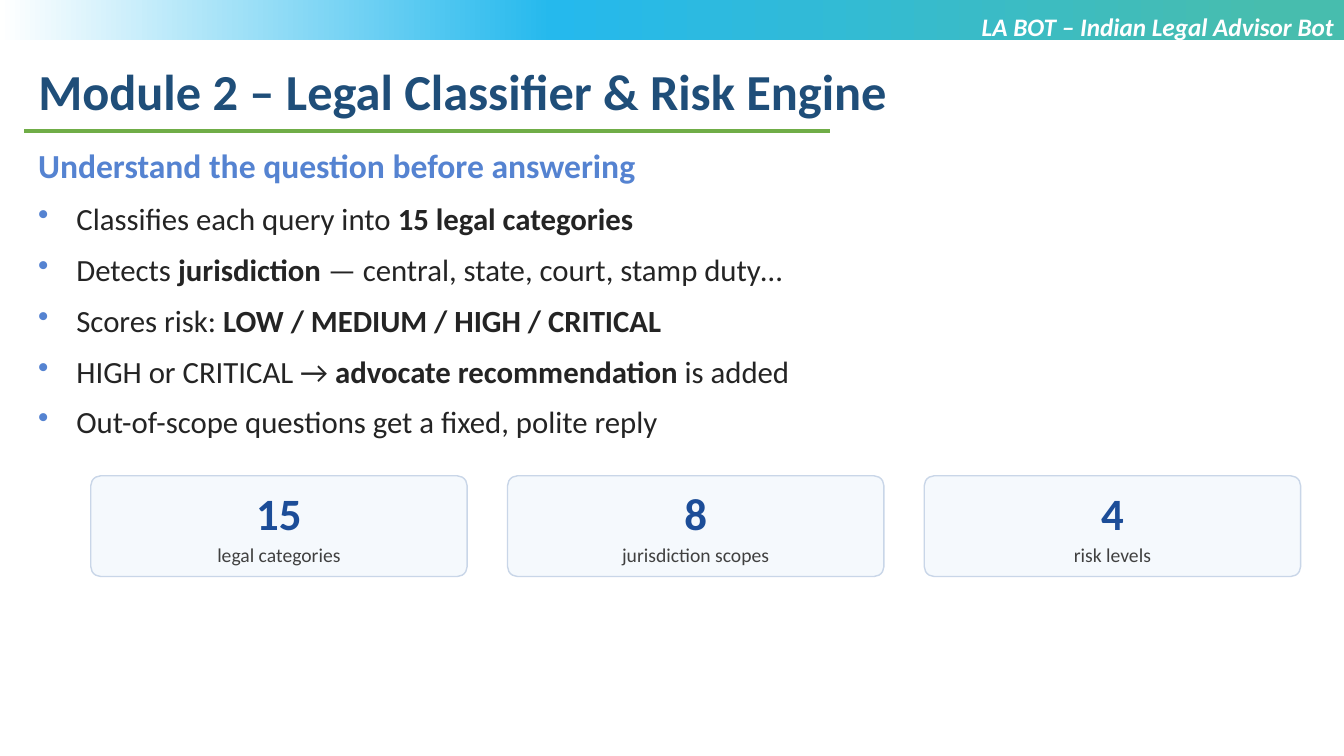
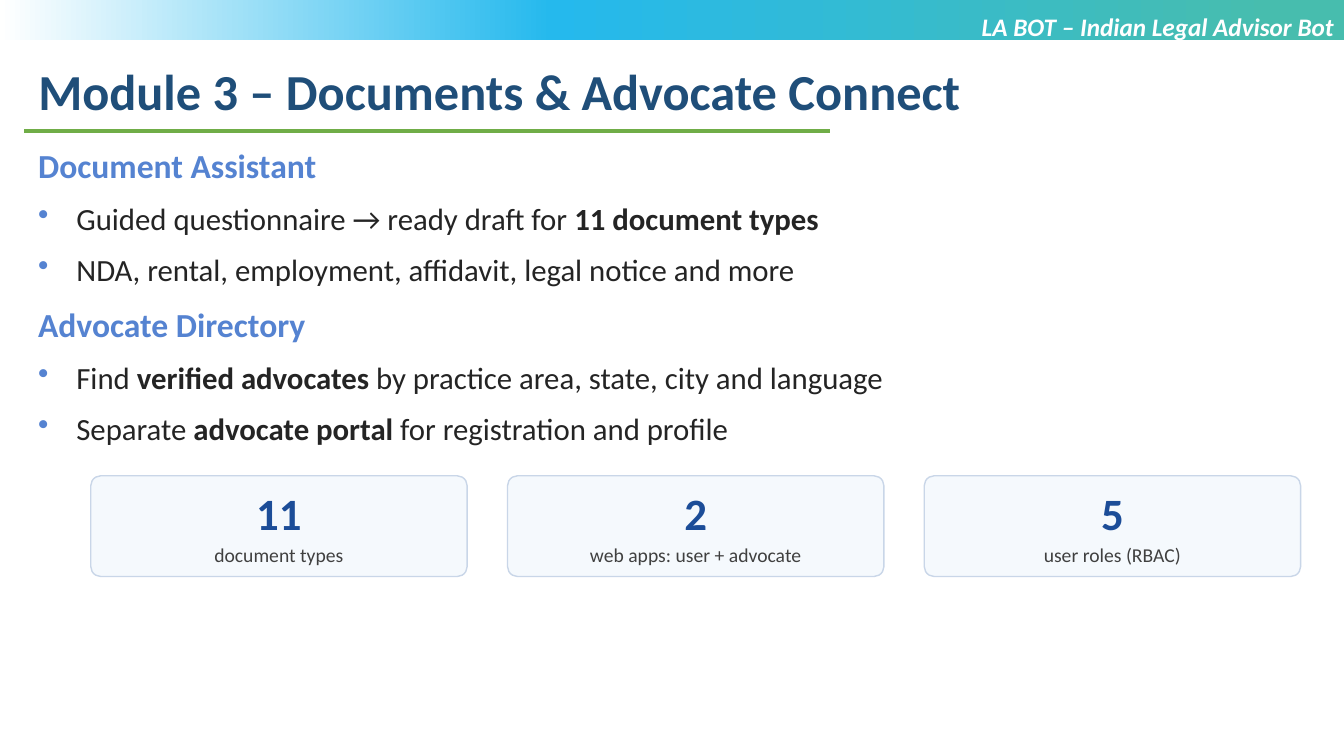
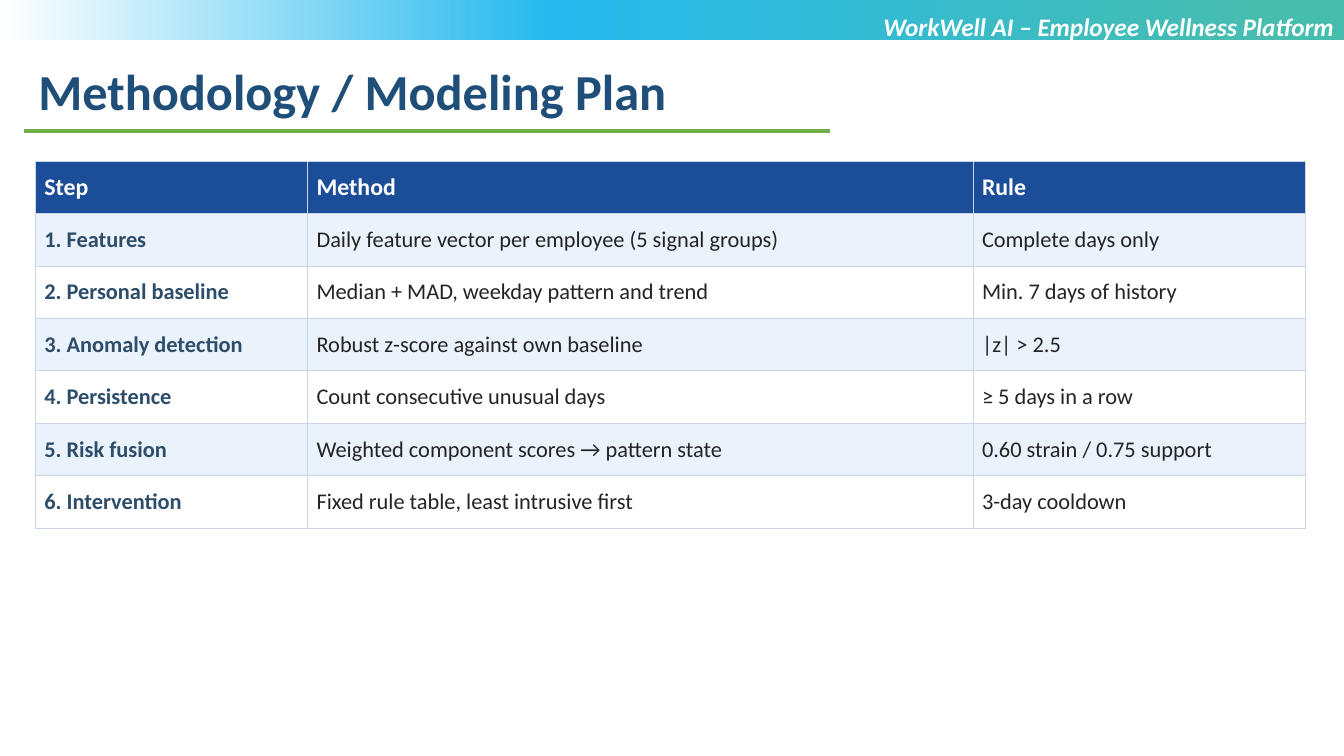
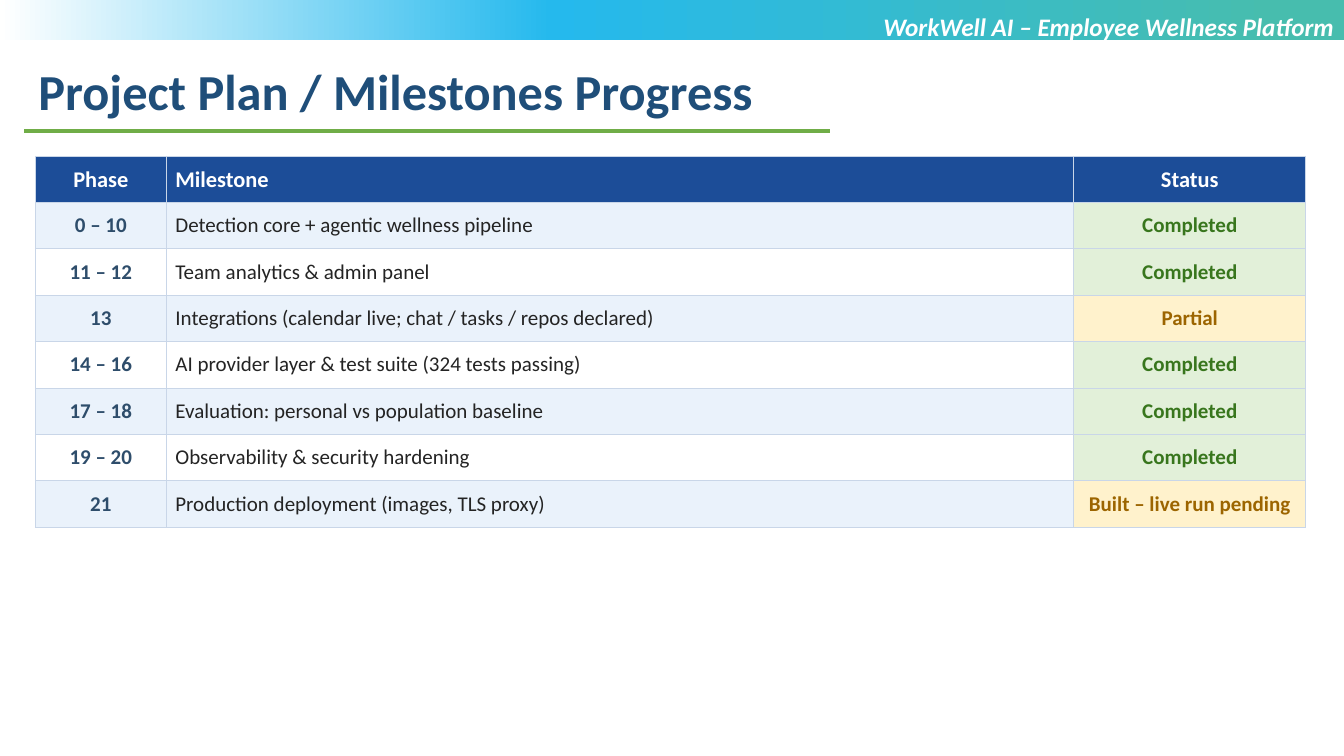
from lxml import etree
from pptx import Presentation
from pptx.dml.color import RGBColor
from pptx.enum.shapes import MSO_CONNECTOR, MSO_SHAPE
from pptx.enum.text import MSO_ANCHOR, PP_ALIGN
from pptx.oxml.ns import qn
from pptx.util import Emu, Pt

LEFT, MID, RIGHT = PP_ALIGN.LEFT, PP_ALIGN.CENTER, PP_ALIGN.RIGHT
TOP, CENTER = MSO_ANCHOR.TOP, MSO_ANCHOR.MIDDLE
RECT, ROUND = MSO_SHAPE.RECTANGLE, MSO_SHAPE.ROUNDED_RECTANGLE
STRAIGHT = MSO_CONNECTOR.STRAIGHT

# Shared style: 100 px to the inch
SCALE = 9144
WIDE, HIGH = 1333, 750
FONT = "Calibri"
WHITE, INK, GRAY = "FFFFFF", "242424", "404040"
TITLE, HEAD, NAVY, SLATE = "1F4E79", "5583D1", "1C4D98", "2E4D6B"
RULE, EDGE, PALE, STRIPE = "70AD47", "C9D6E8", "F5F9FD", "EAF2FB"
BAND = [(5, "47BDAE"), (59, "25B9ED"), (100, WHITE)]
DONE, OPEN = ("E2F0D9", "38761D"), ("FFF2CC", "9C6500")

# Content
LEGAL = "LA BOT – Indian Legal Advisor Bot"
WELL = "WorkWell AI – Employee Wellness Platform"

POINTS = [
    {
        "title": "Module 2 – Legal Classifier & Risk Engine",
        "parts": [
            ("Understand the question before answering", [
                "Classifies each query into **15 legal categories**",
                "Detects **jurisdiction** — central, state, court, stamp duty…",
                "Scores risk: **LOW / MEDIUM / HIGH / CRITICAL**",
                "HIGH or CRITICAL → **advocate recommendation** is added",
                "Out-of-scope questions get a fixed, polite reply",
            ]),
        ],
        "cards": [("15", "legal categories"), ("8", "jurisdiction scopes"),
                  ("4", "risk levels")],
    },
    {
        "title": "Module 3 – Documents & Advocate Connect",
        "parts": [
            ("Document Assistant", [
                "Guided questionnaire → ready draft for **11 document types**",
                "NDA, rental, employment, affidavit, legal notice and more",
            ]),
            ("Advocate Directory", [
                "Find **verified advocates** by practice area, state, city and language",
                "Separate **advocate portal** for registration and profile",
            ]),
        ],
        "cards": [("11", "document types"), ("2", "web apps: user + advocate"),
                  ("5", "user roles (RBAC)")],
    },
]

TABLES = [
    {
        "title": "Methodology / Modeling Plan",
        "top": 160, "row": 52, "cols": [270, 660, 330], "size": 16,
        "align": [LEFT, LEFT, LEFT], "status": False,
        "rows": [
            ("Step", "Method", "Rule"),
            ("1. Features", "Daily feature vector per employee (5 signal groups)",
             "Complete days only"),
            ("2. Personal baseline", "Median + MAD, weekday pattern and trend",
             "Min. 7 days of history"),
            ("3. Anomaly detection", "Robust z-score against own baseline",
             "|z| > 2.5"),
            ("4. Persistence", "Count consecutive unusual days",
             "≥ 5 days in a row"),
            ("5. Risk fusion", "Weighted component scores → pattern state",
             "0.60 strain / 0.75 support"),
            ("6. Intervention", "Fixed rule table, least intrusive first",
             "3-day cooldown"),
        ],
    },
    {
        "title": "Project Plan / Milestones Progress",
        "top": 155, "row": 46, "cols": [130, 900, 230], "size": 15,
        "align": [MID, LEFT, MID], "status": True,
        "rows": [
            ("Phase", "Milestone", "Status"),
            ("0 – 10", "Detection core + agentic wellness pipeline", "Completed"),
            ("11 – 12", "Team analytics & admin panel", "Completed"),
            ("13", "Integrations (calendar live; chat / tasks / repos declared)",
             "Partial"),
            ("14 – 16", "AI provider layer & test suite (324 tests passing)",
             "Completed"),
            ("17 – 18", "Evaluation: personal vs population baseline", "Completed"),
            ("19 – 20", "Observability & security hardening", "Completed"),
            ("21", "Production deployment (images, TLS proxy)",
             "Built – live run pending"),
        ],
    },
]


def px(*nums):
    vals = [Emu(round(n * SCALE)) for n in nums]
    return vals if len(vals) > 1 else vals[0]


def rgb(code):
    return RGBColor.from_string(code)


def style(font, size, color, bold=False, slant=False):
    font.name, font.size = FONT, Pt(size)
    font.bold, font.italic = bold, slant
    font.color.rgb = rgb(color)


def node(up, tag, **attrs):
    return etree.SubElement(up, qn(tag), attrs)


def write(para, text, size, color, bold=False, slant=False, align=LEFT):
    """Fill a paragraph; text between ** marks is bold."""
    para.alignment = align
    for i, part in enumerate(text.split("**")):
        if part:
            run = para.add_run()
            run.text = part
            style(run.font, size, color, bold or i % 2 == 1, slant)


def textbox(slide, *box):
    frame = slide.shapes.add_textbox(*px(*box)).text_frame
    frame.word_wrap = True
    return frame


def shape(slide, kind, *box):
    item = slide.shapes.add_shape(kind, *px(*box))
    item.shadow.inherit = False
    return item


def start(prs, title, strap):
    """New slide with band, strap line, title and rule."""
    slide = prs.slides.add_slide(prs.slide_layouts[5])

    band = shape(slide, RECT, 0, 0, WIDE, 40)
    band.line.fill.background()
    band.fill.gradient()
    band.fill.gradient_angle = 180
    stops = band.element.find(".//" + qn("a:gsLst"))
    stops.clear()
    for pos, color in BAND:
        node(node(stops, "a:gs", pos=str(pos * 1000)), "a:srgbClr", val=color)

    head = slide.shapes.title
    head.left, head.top, head.width, head.height = px(28, 55, 1162, 71)
    head.text_frame.vertical_anchor = TOP
    write(head.text_frame.paragraphs[0], title, 36, TITLE, True)

    rule = slide.shapes.add_connector(STRAIGHT, *px(24, 130, 823, 130))
    rule.line.color.rgb, rule.line.width = rgb(RULE), Pt(2.25)
    node(rule.element.spPr, "a:effectLst")

    frame = textbox(slide, 666, 6, 667, 71)
    write(frame.paragraphs[0], strap, 18, WHITE, True, True, RIGHT)
    return slide


def bullet(para):
    props = para._p.get_or_add_pPr()
    props.set("marL", str(px(38)))
    props.set("indent", str(-px(38)))
    node(node(props, "a:buClr"), "a:srgbClr", val=HEAD)
    node(props, "a:buChar", char="•")


def body(slide, parts):
    frame = textbox(slide, 28, 139, 1160, 430)
    para = frame.paragraphs[0]
    for i, (head, items) in enumerate(parts):
        if i:
            para = frame.add_paragraph()
            para.space_before = Pt(12)
        write(para, head, 24, HEAD, True)
        for item in items:
            para = frame.add_paragraph()
            bullet(para)
            para.space_before = Pt(10)
            write(para, item, 22, INK)


def cards(slide, items):
    left, right, gap = 90, 1290, 40
    width = (right - left - gap * (len(items) - 1)) / len(items)
    for i, (count, label) in enumerate(items):
        card = shape(slide, ROUND, left + i * (width + gap), 472, width, 100)
        card.adjustments[0] = 0.1
        card.fill.solid()
        card.fill.fore_color.rgb = rgb(PALE)
        card.line.color.rgb, card.line.width = rgb(EDGE), Pt(1)
        frame = card.text_frame
        frame.word_wrap, frame.vertical_anchor = True, CENTER
        frame.margin_left = frame.margin_right = px(6)
        frame.margin_top = frame.margin_bottom = px(6)
        write(frame.paragraphs[0], count, 32, NAVY, True, align=MID)
        para = frame.add_paragraph()
        para.space_before = Pt(2)
        write(para, label, 14, GRAY, align=MID)


def border(cell):
    props = cell._tc.get_or_add_tcPr()
    for i, side in enumerate(("a:lnL", "a:lnR", "a:lnT", "a:lnB")):
        line = node(props, side, w=str(Pt(0.75)))
        node(node(line, "a:solidFill"), "a:srgbClr", val=EDGE)
        props.insert(i, line)


def look(r, c, text, status):
    """Fill, text colour and weight of a cell."""
    if r == 0:
        return NAVY, WHITE, True
    if status and c == 2:
        return *(DONE if text == "Completed" else OPEN), True
    fill = STRIPE if r % 2 else WHITE
    return (fill, SLATE, True) if c == 0 else (fill, INK, False)


def grid(slide, data):
    rows, cols = data["rows"], data["cols"]
    box = px(35, data["top"], sum(cols), data["row"] * len(rows))
    table = slide.shapes.add_table(len(rows), len(cols), *box).table
    for col, width in zip(table.columns, cols):
        col.width = px(width)
    for r, row in enumerate(rows):
        table.rows[r].height = px(data["row"])
        for c, text in enumerate(row):
            cell = table.cell(r, c)
            fill, color, bold = look(r, c, text, data["status"])
            cell.fill.solid()
            cell.fill.fore_color.rgb = rgb(fill)
            border(cell)
            cell.vertical_anchor = CENTER
            cell.margin_left = cell.margin_right = px(9)
            cell.margin_top = cell.margin_bottom = px(4)
            size = data["size"] + (r == 0)
            write(cell.text_frame.paragraphs[0], text, size, color, bold,
                  align=data["align"][c])


def main():
    prs = Presentation()
    prs.slide_width, prs.slide_height = px(WIDE, HIGH)
    for data in POINTS:
        slide = start(prs, data["title"], LEGAL)
        body(slide, data["parts"])
        cards(slide, data["cards"])
    for data in TABLES:
        grid(start(prs, data["title"], WELL), data)
    prs.save("out.pptx")


if __name__ == "__main__":
    main()
